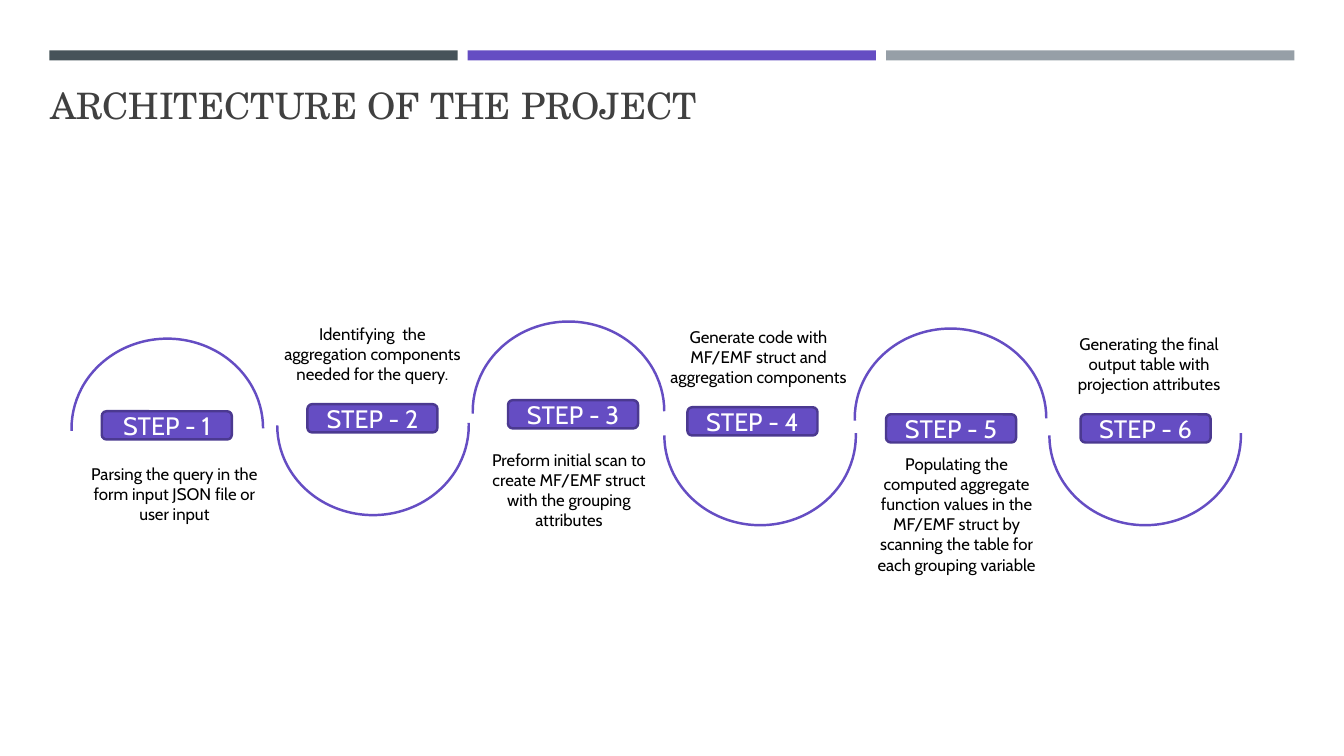
from pptx import Presentation
from pptx import util as u
from pptx.dml.color import RGBColor
from pptx.enum import shapes, text

SLATE = RGBColor(0x46, 0x53, 0x59)
PURPLE = RGBColor(0x65, 0x4D, 0xC3)
DEEP_PURPLE = RGBColor(0x4B, 0x39, 0x90)
GREY = RGBColor(0x96, 0x9F, 0xA7)
CHARCOAL = RGBColor(0x40, 0x40, 0x40)
BLACK = RGBColor(0, 0, 0)
WHITE = RGBColor(0xFF, 0xFF, 0xFF)

COLS, ROWS = 133.33, 75
ARC_SIZE = (19, 17.8)
BADGE_SIZE = (12.9, 2.8)

# arc corner, badge corner, text box, text
STEPS = [
    ((7.1, 33.6), (10.1, 40.8), (7.8, 45.5, 19, 7.1),
     "Parsing the query in the form input JSON file or user input"),
    ((27.5, 33.3), (30.5, 40.1), (27.1, 31.6, 19.7, 9.1),
     "Identifying  the aggregation components needed for the query."),
    ((46.9, 31.9), (50.4, 39.7), (46.6, 44.1, 19.7, 11.1),
     "Preform initial scan to create MF/EMF struct with the grouping attributes"),
    ((65.9, 34.3), (68.2, 40.4), (65.4, 31.9, 19.7, 11.1),
     "Generate code with MF/EMF struct and aggregation components"),
    ((84.8, 32.6), (87.9, 41.1), (85.4, 44.5, 19, 15.1),
     "Populating the computed aggregate function values in the MF/EMF struct "
     "by scanning the table for each grouping variable"),
    ((104.1, 34.3), (107.2, 41.1), (104.5, 32.6, 19, 9.1),
     "Generating the final output table with projection attributes"),
]


class Deck:
    """Slide builder; boxes are (column, row, columns, rows) on a 0.1 inch grid."""
    heading_font, body_font = "TeX Gyre Schola", "Cabin"
    line_width = u.Pt(1.75)

    def __init__(self):
        self.prs = Presentation()
        self.prs.slide_width, self.prs.slide_height = u.Inches(13.33), u.Inches(7.5)
        self.s = self.prs.slides.add_slide(self.prs.slide_layouts[5])

    def place(self, col, row, cols, rows):
        w, h = self.prs.slide_width, self.prs.slide_height
        return [u.Emu(round(v)) for v in
                (col / COLS * w, row / ROWS * h, cols / COLS * w, rows / ROWS * h)]

    def set_text(self, sp, words, size, color, font, align, anchor):
        tf = sp.text_frame
        tf.word_wrap = True
        tf.auto_size = text.MSO_AUTO_SIZE.NONE
        tf.vertical_anchor = anchor
        p = tf.paragraphs[0]
        p.text, p.alignment = words, align
        p.font.name, p.font.size, p.font.color.rgb = font, u.Pt(size), color

    def title(self, box, words):
        sp = self.s.shapes.title
        sp.left, sp.top, sp.width, sp.height = self.place(*box)
        self.set_text(sp, words, 26, CHARCOAL, self.heading_font,
                      text.PP_ALIGN.LEFT, text.MSO_ANCHOR.BOTTOM)

    def shape(self, kind, box, fill=None, line=None):
        sp = self.s.shapes.add_shape(kind, *self.place(*box))
        sp.shadow.inherit = False
        if fill is None:
            sp.fill.background()
        else:
            sp.fill.solid()
            sp.fill.fore_color.rgb = fill
        if line is None:
            sp.line.fill.background()
        else:
            sp.line.color.rgb, sp.line.width = line, self.line_width
        return sp

    def bar(self, box, color):
        self.shape(shapes.MSO_SHAPE.RECTANGLE, box, color)

    def arc(self, corner, flipped):
        sp = self.shape(shapes.MSO_SHAPE.ARC, (*corner, *ARC_SIZE), line=PURPLE)
        sp.adjustments[0], sp.adjustments[1] = 107.126, 0
        sp.rotation = 180 if flipped else 0

    def badge(self, corner, words):
        sp = self.shape(shapes.MSO_SHAPE.ROUNDED_RECTANGLE, (*corner, *BADGE_SIZE),
                        PURPLE, DEEP_PURPLE)
        self.set_text(sp, words, 18, WHITE, self.body_font,
                      text.PP_ALIGN.CENTER, text.MSO_ANCHOR.MIDDLE)

    def caption(self, box, words):
        sp = self.s.shapes.add_textbox(*self.place(*box))
        self.set_text(sp, words, 12, BLACK, self.body_font,
                      text.PP_ALIGN.CENTER, text.MSO_ANCHOR.TOP)


def main():
    deck = Deck()
    for i, color in enumerate((SLATE, PURPLE, GREY)):
        deck.bar((4.9 + 41.5 * i, 5, 40.5, 1), color)
    deck.title((4, 6.2, 124.7, 6.9), "ARCHITECTURE OF THE PROJECT")
    for number, (arc, badge, box, words) in enumerate(STEPS, 1):
        deck.arc(arc, flipped=number % 2 == 0)
        deck.badge(badge, f"STEP - {number}")
        deck.caption(box, words)
    deck.prs.save("out.pptx")


if __name__ == "__main__":
    main()
